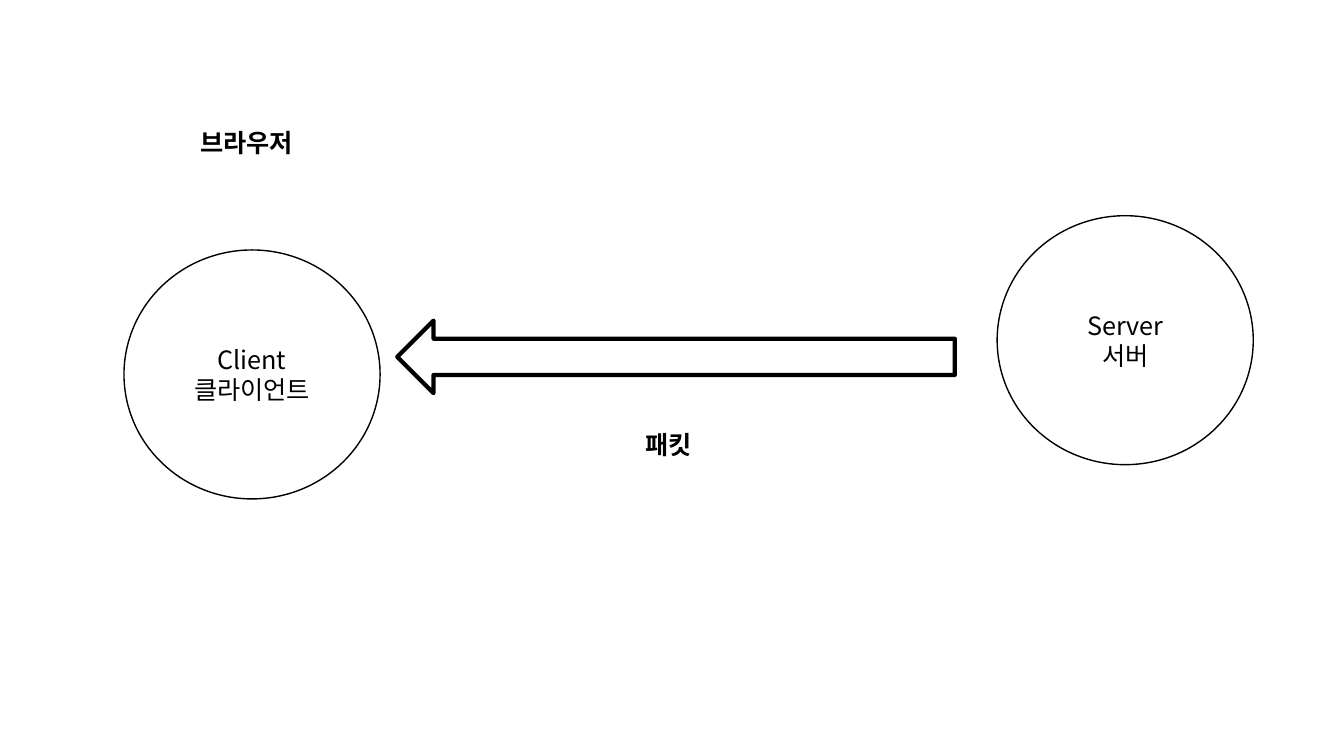
from dataclasses import dataclass

from pptx import Presentation
from pptx import util as u
from pptx.dml import color
from pptx.enum import shapes, text
from pptx.oxml import ns
from lxml import etree

BLACK = color.RGBColor(0, 0, 0)
WHITE = color.RGBColor(255, 255, 255)
FACE = "Noto Sans CJK KR"
FONT = {"name": FACE, "size": u.Pt(18)}
MID = text.PP_ALIGN.CENTER
LEFT = text.PP_ALIGN.LEFT
OVAL = shapes.MSO_SHAPE.OVAL
ARROW = shapes.MSO_SHAPE.LEFT_ARROW


@dataclass
class Form:
    kind: shapes.MSO_SHAPE
    left: float
    top: float
    width: float
    height: float
    line: float
    words: tuple[str, ...] = ()


@dataclass
class Label:
    word: str
    left: float
    top: float
    width: float
    height: float
    align: text.PP_ALIGN


def place(item: Form | Label) -> list[u.Length]:
    return [u.Inches(n) for n in (item.left, item.top, item.width, item.height)]


def write(frame, words: tuple[str, ...], align: text.PP_ALIGN, bold: bool) -> None:
    frame.word_wrap = True
    for i, word in enumerate(words):
        para = frame.add_paragraph() if i else frame.paragraphs[0]
        para.alignment = align
        run = para.add_run()
        run.text = word
        for key, value in (FONT | {"bold": bold}).items():
            setattr(run.font, key, value)
        run.font.color.rgb = BLACK
        etree.SubElement(run.font._element, ns.qn("a:ea"), typeface=FACE)


def draw(tree, form: Form) -> None:
    shape = tree.add_shape(form.kind, *place(form))
    shape.shadow.inherit = False
    shape.fill.solid()
    shape.fill.fore_color.rgb = WHITE
    shape.line.color.rgb = BLACK
    shape.line.width = u.Pt(form.line)
    shape.text_frame.vertical_anchor = text.MSO_ANCHOR.MIDDLE
    write(shape.text_frame, form.words, MID, False)


def tag(tree, label: Label) -> None:
    frame = tree.add_textbox(*place(label)).text_frame
    write(frame, (label.word,), label.align, True)
    frame.auto_size = text.MSO_AUTO_SIZE.SHAPE_TO_FIT_TEXT


def main() -> None:
    deck = Presentation()
    deck.slide_width, deck.slide_height = u.Inches(13.33), u.Inches(7.5)
    page = deck.slides.add_slide(deck.slide_layouts[6]).shapes
    draw(page, Form(ARROW, 3.94, 3.18, 5.53, 0.72, 3))
    client = page.add_group_shape().shapes
    tag(client, Label("브라우저", 1.05, 1.21, 2.79, 0.4, MID))
    draw(client, Form(OVAL, 1.23, 2.48, 2.54, 2.47, 1, ("Client", "클라이언트")))
    draw(page, Form(OVAL, 9.89, 2.14, 2.54, 2.47, 1, ("Server", "서버")))
    tag(page, Label("패킷", 6.3, 4.21, 1.02, 0.4, LEFT))
    deck.save("out.pptx")


if __name__ == "__main__":
    main()
